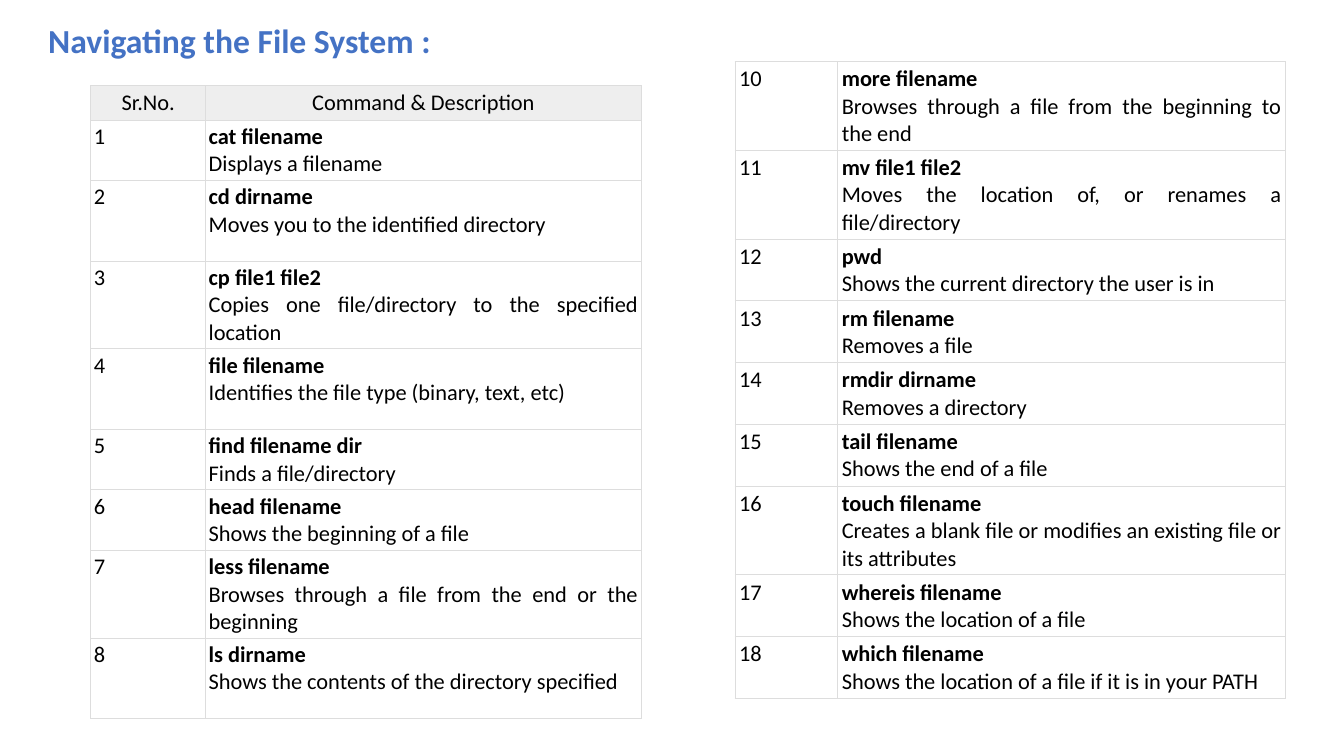
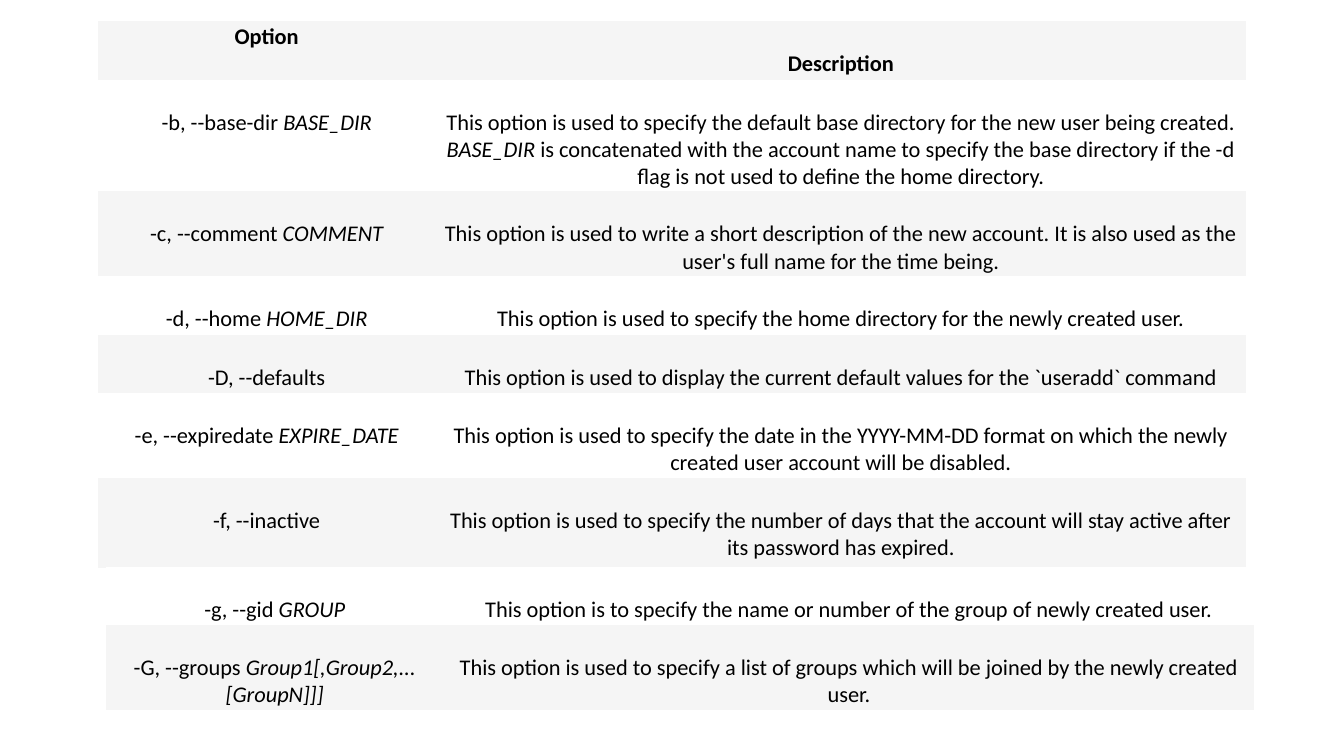
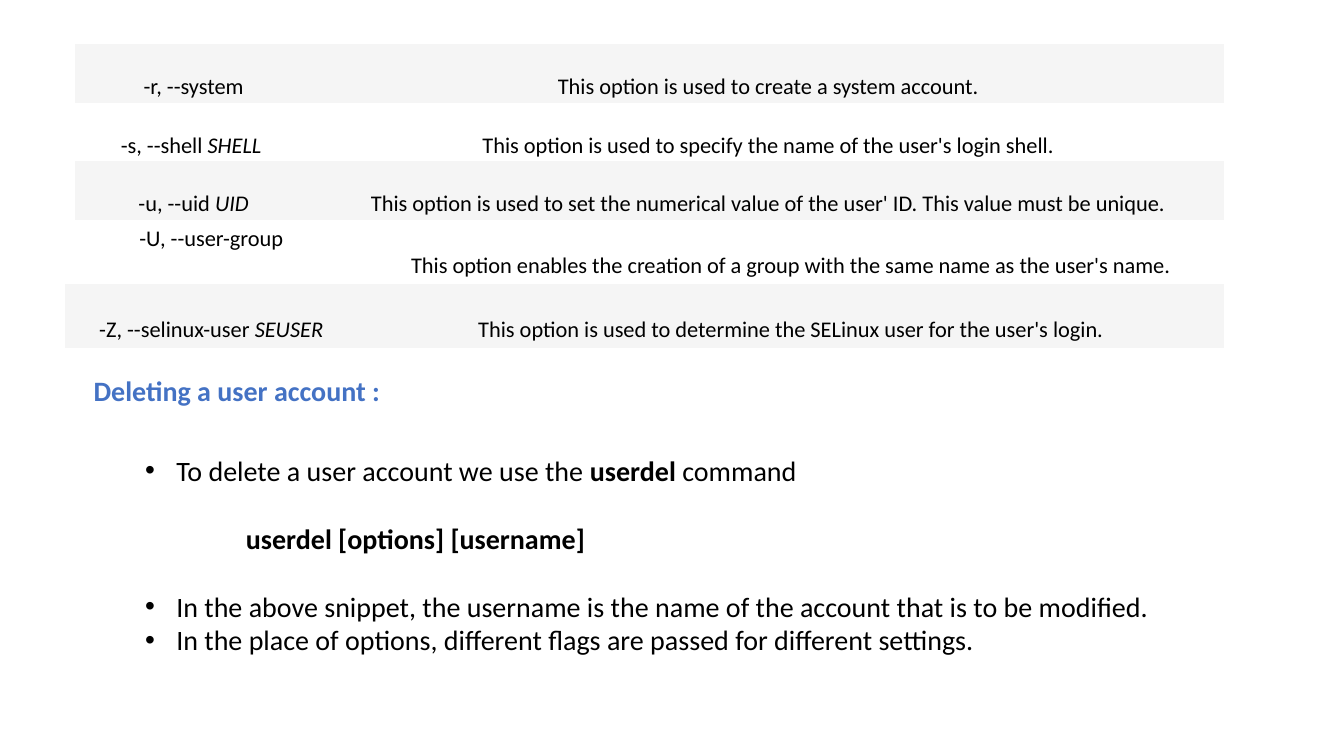
"""Builds three slides on shell commands and user account options."""
from lxml import etree
from pptx import Presentation
from pptx.dml.color import RGBColor
from pptx.enum.text import PP_ALIGN
from pptx.oxml.ns import qn
from pptx.util import Inches, Pt

LEFT, CENTER, JUSTIFY = PP_ALIGN.LEFT, PP_ALIGN.CENTER, PP_ALIGN.JUSTIFY
BLUE = RGBColor(0x44, 0x72, 0xC4)
BLACK = RGBColor(0, 0, 0)
WHITE = RGBColor(0xFF, 0xFF, 0xFF)
GRAY = RGBColor(0xF5, 0xF5, 0xF5)
HEAD = RGBColor(0xEE, 0xEE, 0xEE)
RULE = "DDDDDD"
FONT = "Calibri"
PLAIN = "{2D5ABB26-0587-4C30-8999-92F81FD0307C}"
LINE = 0.27


def write(par, text, size=16, color=BLACK, align=LEFT, bold=None, mark="italic"):
    """Write text in one paragraph; parts between asterisks get the mark."""
    par.alignment = align
    par.font.name, par.font.size = FONT, Pt(size)
    par.font.color.rgb = color
    par.font.bold = bold
    for pos, part in enumerate(text.split("*")):
        if part:
            run = par.add_run()
            run.text = part
            if pos % 2:
                setattr(run.font, mark, True)


def grid(slide, left, top, cols, rows, pad):
    """Add a plain table with the given column widths, row heights and insets."""
    frame = slide.shapes.add_table(
        len(rows), len(cols), Inches(left), Inches(top),
        Inches(sum(cols)), Inches(sum(rows)))
    table = frame.table
    table.first_row = table.horz_banding = False
    frame._element.find(".//" + qn("a:tableStyleId")).text = PLAIN
    for col, width in zip(table.columns, cols):
        col.width = Inches(width)
    for row, height in zip(table.rows, rows):
        row.height = Inches(height)
    for cell in table.iter_cells():
        cell.margin_left = cell.margin_right = Inches(pad[0])
        cell.margin_top = cell.margin_bottom = Inches(pad[1])
    return table


deck = Presentation()
deck.slide_width, deck.slide_height = Inches(13.33), Inches(7.5)
files, adding, ending = [deck.slides.add_slide(deck.slide_layouts[6]) for _ in range(3)]

TITLES = [
    (files, 0.38, 0.15, 0.5, 24, "Navigating the File System :"),
    (ending, 0.83, 3.66, 0.44, 20, "Deleting a user account :"),
]
for slide, left, top, height, size, text in TITLES:
    box = slide.shapes.add_textbox(Inches(left), Inches(top), Inches(6.67), Inches(height))
    box.text_frame.word_wrap = True
    write(box.text_frame.paragraphs[0], text, size, BLUE, bold=True)

FIRST = [
    ("Sr.No.", "Command & Description"),
    ("1", "cat filename", "Displays a filename"),
    ("2", "cd dirname", "Moves you to the identified directory"),
    ("3", "cp file1 file2", "Copies one file/directory to the specified location"),
    ("4", "file filename", "Identifies the file type (binary, text, etc)"),
    ("5", "find filename dir", "Finds a file/directory"),
    ("6", "head filename", "Shows the beginning of a file"),
    ("7", "less filename", "Browses through a file from the end or the beginning"),
    ("8", "ls dirname", "Shows the contents of the directory specified"),
]
SECOND = [
    ("10", "more filename", "Browses through a file from the beginning to the end"),
    ("11", "mv file1 file2", "Moves the location of, or renames a file/directory"),
    ("12", "pwd", "Shows the current directory the user is in"),
    ("13", "rm filename", "Removes a file"),
    ("14", "rmdir dirname", "Removes a directory"),
    ("15", "tail filename", "Shows the end of a file"),
    ("16", "touch filename", "Creates a blank file or modifies an existing file or its attributes"),
    ("17", "whereis filename", "Shows the location of a file"),
    ("18", "which filename", "Shows the location of a file if it is in your PATH"),
]
LISTS = [
    (0.9, 0.85, (1.14, 4.32), (0.34, 0.6, 0.8, 0.87, 0.8, 0.6, 0.6, 0.87, 0.8), 0.03, FIRST),
    (7.29, 0.61, (1.02, 4.44), (0.88, 0.88, 0.61, 0.61, 0.61, 0.61, 0.88, 0.61, 0.61), 0.04, SECOND),
]
for left, top, cols, heights, pad, rows in LISTS:
    table = grid(files, left, top, cols, heights, (pad, pad))
    for row, (label, *texts) in enumerate(rows):
        head = len(texts) == 1
        number, about = table.cell(row, 0), table.cell(row, 1)
        write(number.text_frame.paragraphs[0], label, align=CENTER if head else LEFT)
        frame = about.text_frame
        if head:
            write(frame.paragraphs[0], texts[0], align=CENTER)
        else:
            write(frame.paragraphs[0], texts[0], align=JUSTIFY, bold=True)
            write(frame.add_paragraph(), texts[1], align=JUSTIFY)
        for cell in (number, about):
            props = cell._tc.get_or_add_tcPr()
            for side in ("lnL", "lnR", "lnT", "lnB"):
                edge = etree.SubElement(props, qn("a:" + side), w=str(Pt(0.6)))
                paint = etree.SubElement(edge, qn("a:solidFill"))
                etree.SubElement(paint, qn("a:srgbClr"), val=RULE)
            if head:
                cell.fill.solid()
                cell.fill.fore_color.rgb = HEAD
            else:
                cell.fill.background()

BASIC = [
    ("Option", "Description"),
    ("-b, --base-dir *BASE_DIR*",
     "This option is used to specify the default base directory for the new user being created. "
     "*BASE_DIR* is concatenated with the account name to specify the base directory if the -d "
     "flag is not used to define the home directory."),
    ("-c, --comment *COMMENT*",
     "This option is used to write a short description of the new account. "
     "It is also used as the user's full name for the time being."),
    ("-d, --home *HOME_DIR*",
     "This option is used to specify the home directory for the newly created user."),
    ("-D, --defaults",
     "This option is used to display the current default values for the `useradd` command"),
    ("-e, --expiredate *EXPIRE_DATE*",
     "This option is used to specify the date in the YYYY-MM-DD format on which the newly "
     "created user account will be disabled."),
    ("-f, --inactive",
     "This option is used to specify the number of days that the account will stay active "
     "after its password has expired."),
]
GROUPS = [
    ("-g, --gid *GROUP*",
     "This option is to specify the name or number of the group of newly created user."),
    ("-G, --groups *Group1[,Group2,...[GroupN]]]*",
     "This option is used to specify a list of groups which will be joined by the newly created user."),
]
LOGIN = [
    ("-r, --system", "This option is used to create a system account."),
    ("-s, --shell *SHELL *",
     "This option is used to specify the name of the user's login shell."),
    ("-u, --uid *UID*",
     "This option is used to set the numerical value of the user' ID. This value must be unique."),
]
OTHERS = [
    ("-U, --user-group",
     "This option enables the creation of a group with the same name as the user's name."),
    ("-Z, --selinux-user *SEUSER*",
     "This option is used to determine the SELinux user for the user's login."),
]
FLUSH = ("Option", "-U, --user-group")
OPTIONS = [
    (adding, 0.97, 0.21, (3.35, 8.04), (0.58, 1.1, 0.83, 0.57, 0.57, 0.83, 0.9), (0.04, 0.02), 0, BASIC),
    (adding, 1.05, 5.62, (3.35, 8.04), (0.57, 0.83), (0.04, 0.02), 1, GROUPS),
    (ending, 0.74, 0.44, (2.36, 9.04), (0.58, 0.58, 0.58), (0.05, 0.02), 0, LOGIN),
    (ending, 0.64, 2.18, (2.91, 8.59), (0.63, 0.63), (0.1, 0.05), 1, OTHERS),
]
for slide, left, top, cols, heights, pad, shade, rows in OPTIONS:
    table = grid(slide, left, top, cols, heights, pad)
    for row, texts in enumerate(rows):
        for col, text in enumerate(texts):
            cell = table.cell(row, col)
            cell.fill.solid()
            cell.fill.fore_color.rgb = GRAY if row % 2 == shade else WHITE
            if text not in FLUSH:
                cell.margin_top = Inches(pad[1] + LINE)
            bold = True if rows is BASIC and row == 0 else None
            write(cell.text_frame.paragraphs[0], text, align=CENTER, bold=bold)

STEPS = [
    ("To delete a user account we use the *userdel* command", True, 0),
    ("*userdel [options] [username]*", False, 24.4),
    ("In the above snippet, the username is the name of the account that is to be modified.", True, 24.4),
    ("In the place of options, different flags are passed for different settings.", True, 0),
]
box = ending.shapes.add_textbox(Inches(1.34), Inches(4.45), Inches(10.35), Inches(2.46))
frame = box.text_frame
frame.word_wrap = True
for pos, (text, dot, gap) in enumerate(STEPS):
    par = frame.add_paragraph() if pos else frame.paragraphs[0]
    if gap:
        par.space_before = Pt(gap)
    props = par._p.get_or_add_pPr()
    props.set("marL", str(Inches(0.31 if dot else 1)))
    if dot:
        props.set("indent", str(-Inches(0.31)))
        etree.SubElement(props, qn("a:buFont"), typeface="Arial")
        etree.SubElement(props, qn("a:buChar"), char="•")
    write(par, text, 20, mark="bold")

deck.save("out.pptx")
